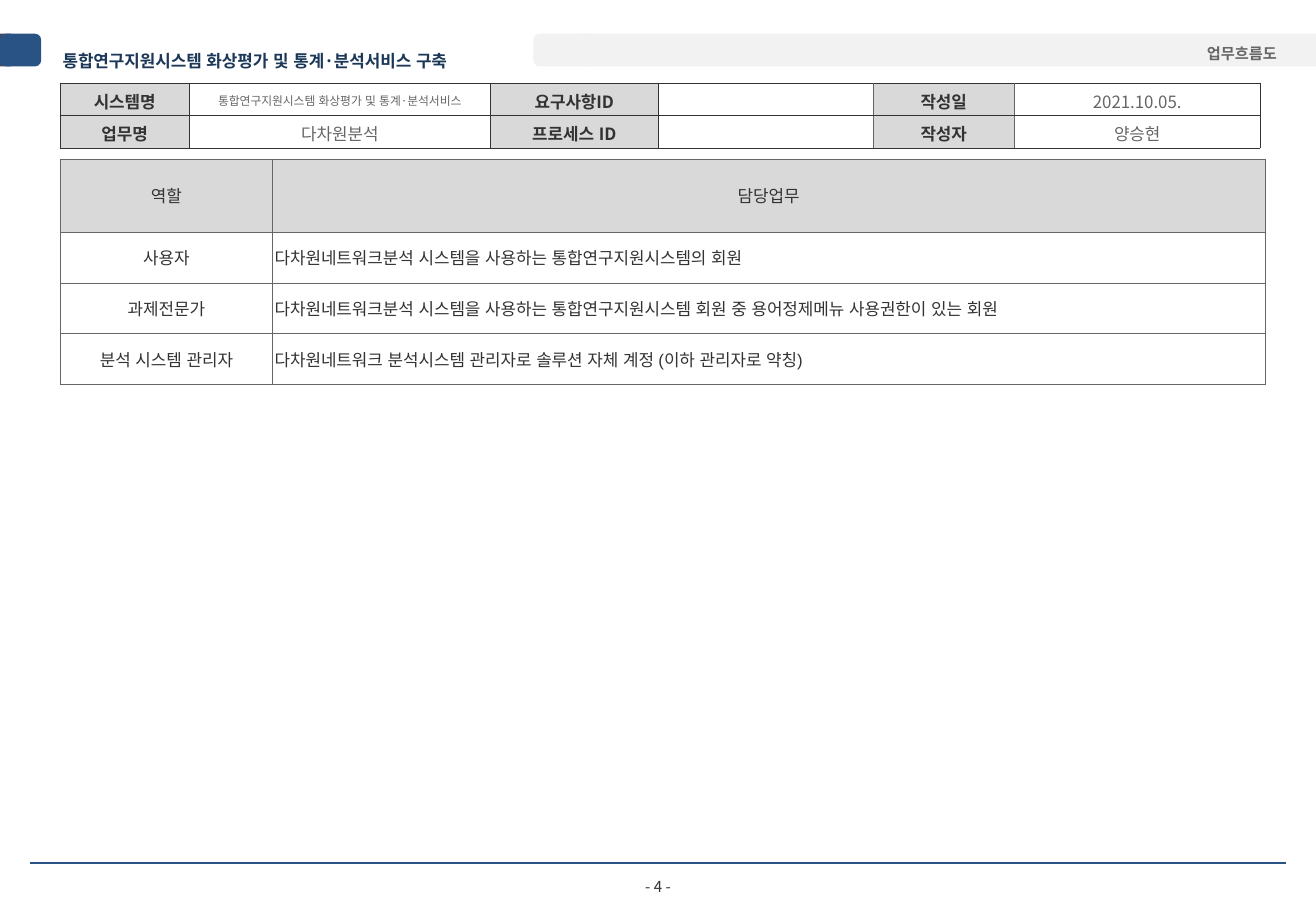
import pptx
import pptx.dml.color
import pptx.enum.lang
import pptx.enum.shapes
import pptx.enum.text
import pptx.oxml.ns
import pptx.util
from lxml import etree

Pt = pptx.util.Pt
qn = pptx.oxml.ns.qn
SHAPE = pptx.enum.shapes.MSO_SHAPE
ALIGN = pptx.enum.text.PP_ALIGN
ANCHOR = pptx.enum.text.MSO_ANCHOR
KOREAN = pptx.enum.lang.MSO_LANGUAGE_ID.KOREAN

FONT = "Noto Sans CJK KR"
COLORS = {
    "navy": "2A5385", "slate": "454861", "title": "1C3858", "band": "F2F2F2",
    "label": "D9D9D9", "dark": "333333", "gray": "666666",
}
INFO_ROWS = [
    ["시스템명", "통합연구지원시스템 화상평가 및 통계·분석서비스", "요구사항ID", "", "작성일", "2021.10.05."],
    ["업무명", "다차원분석", "프로세스 ID", "", "작성자", "양승현"],
]
ROLE_ROWS = [
    ["역할", "담당업무"],
    ["사용자", "다차원네트워크분석 시스템을 사용하는 통합연구지원시스템의 회원"],
    ["과제전문가", "다차원네트워크분석 시스템을 사용하는 통합연구지원시스템 회원 중 용어정제메뉴 사용권한이 있는 회원"],
    ["분석 시스템 관리자", "다차원네트워크 분석시스템 관리자로 솔루션 자체 계정 (이하 관리자로 약칭)"],
]


def rgb(color):
    return pptx.dml.color.RGBColor.from_string(COLORS[color])


def write(frame, text, size=10, color="dark", bold=False, align=ALIGN.CENTER, latin=FONT):
    frame.text = text
    paragraph = frame.paragraphs[0]
    paragraph.alignment = align
    for run in paragraph.runs:
        font = run.font
        font.size, font.bold, font.name = Pt(size), bold, latin
        font.color.rgb = rgb(color)
        font.language_id = KOREAN
        etree.SubElement(run._r.get_or_add_rPr(), qn("a:ea"), typeface=FONT)
    if not text:
        etree.SubElement(paragraph._p, qn("a:endParaRPr"), sz=str(size * 100))
    return paragraph


def set_borders(cell, colors):
    """Set the left, right, top and bottom edges; None leaves an edge unlined."""
    properties = cell._tc.get_or_add_tcPr()
    for position, (tag, color) in enumerate(zip(("lnL", "lnR", "lnT", "lnB"), colors)):
        edge = etree.Element(qn("a:" + tag), w=str(Pt(0.25)))
        if color:
            fill = etree.SubElement(edge, qn("a:solidFill"))
            etree.SubElement(fill, qn("a:srgbClr"), val=COLORS[color])
        else:
            etree.SubElement(edge, qn("a:noFill"))
        properties.insert(position, edge)


def style_cell(cell, margins, borders, fill=None, anchor=ANCHOR.MIDDLE):
    """Apply margins (side, top, bottom), borders, fill and anchor."""
    side, top, bottom = margins
    cell.margin_left = cell.margin_right = Pt(side)
    cell.margin_top, cell.margin_bottom = Pt(top), Pt(bottom)
    cell.vertical_anchor = anchor
    if fill:
        cell.fill.solid()
        cell.fill.fore_color.rgb = rgb(fill)
    else:
        cell.fill.background()
    set_borders(cell, borders)


def add_grid(slide, left, top, widths, heights):
    grid = slide.shapes.add_table(len(heights), len(widths), Pt(left), Pt(top),
                                  Pt(sum(widths)), Pt(sum(heights))).table
    grid.first_row = grid.horz_banding = False
    for column, width in zip(grid.columns, widths):
        column.width = Pt(width)
    for row, height in zip(grid.rows, heights):
        row.height = Pt(height)
    return grid


def add_band(slide, kind, left, top, width, height, color):
    band = slide.shapes.add_shape(kind, Pt(left), Pt(top), Pt(width), Pt(height))
    band.shadow.inherit = False
    band.fill.solid()
    band.fill.fore_color.rgb = rgb(color)
    band.line.fill.background()
    if kind == SHAPE.ROUNDED_RECTANGLE:
        band.adjustments[0] = 0.19


def add_header(slide, left, top, width, height):
    add_band(slide, SHAPE.RECTANGLE, left, top, 6.5, height, "slate")
    add_band(slide, SHAPE.ROUNDED_RECTANGLE, left, top, 24.4, height, "navy")
    add_band(slide, SHAPE.RECTANGLE, left + 345, top, width - 345, height, "band")
    add_band(slide, SHAPE.ROUNDED_RECTANGLE, left + 316.2, top, 35, height, "band")

    headings = add_grid(slide, left + 32, top, [364.9] * 2, [height])
    project, document = headings.cell(0, 0), headings.cell(0, 1)
    for cell, inset in ((project, 0), (document, 1.4)):
        style_cell(cell, (5.1, inset, inset), [None] * 4)
    title = write(project.text_frame, "통합연구지원시스템 화상평가 및 통계·분석서비스 구축",
                  color="title", bold=True, align=ALIGN.LEFT)
    title.line_spacing = 1.6
    write(document.text_frame, "업무흐름도", size=9, color="gray", bold=True, align=ALIGN.RIGHT)


def add_info(slide, left, top):
    info = add_grid(slide, left, top, [76.6, 178.4, 99.6, 127.4, 83.6, 145.8], [19, 19.5])
    for r, texts in enumerate(INFO_ROWS):
        for c, text in enumerate(texts):
            is_label = c % 2 == 0
            is_system_name = (r, c) == (0, 1)
            borders = ["gray" if c in (4, 5) else "dark", "gray" if c in (3, 4) else "dark",
                       "dark", "dark"]
            cell = info.cell(r, c)
            style_cell(cell, (7.2, 3.6, 2.4 if is_system_name else 0), borders,
                       "label" if is_label else None,
                       ANCHOR.MIDDLE if is_system_name else ANCHOR.TOP)
            write(cell.text_frame, text, size=7 if is_system_name else 10,
                  color="dark" if is_label else "gray", bold=is_label)


def add_roles(slide, left, top):
    roles = add_grid(slide, left, top, [125.6, 588.4], [43] + [30.2] * 3)
    for r, texts in enumerate(ROLE_ROWS):
        for c, text in enumerate(texts):
            is_duty = r > 0 and c == 1
            cell = roles.cell(r, c)
            style_cell(cell, (1.4, 0, 0), ["gray"] * 4, None if r else "label")
            write(cell.text_frame, text, align=ALIGN.LEFT if is_duty else ALIGN.CENTER,
                  latin="Arial" if is_duty else FONT)


def add_footer(slide, left, top, width):
    rule = slide.shapes.add_connector(pptx.enum.shapes.MSO_CONNECTOR.STRAIGHT,
                                      Pt(left), Pt(top), Pt(left + width), Pt(top))
    rule.line.color.rgb = rgb("navy")
    rule.line.width = Pt(1.5)
    etree.SubElement(rule._element.spPr, qn("a:effectLst"))

    page_width = 48
    page = slide.shapes.add_textbox(Pt(left + (width - page_width) / 2), Pt(top + 5.5),
                                    Pt(page_width), Pt(17)).text_frame
    page.word_wrap = True
    page.margin_top = page.margin_bottom = 0
    page.vertical_anchor = ANCHOR.MIDDLE
    write(page, "- 4 -", size=9)


def main():
    deck = pptx.Presentation()
    deck.slide_width, deck.slide_height = Pt(780), Pt(540)
    slide = deck.slides.add_slide(deck.slide_layouts[6])
    add_header(slide, 0, 20, 780, 19.4)
    add_roles(slide, 35.8, 94.4)
    add_info(slide, 35.6, 49.2)
    add_footer(slide, 18, 511.6, 744)
    deck.save("out.pptx")


if __name__ == "__main__":
    main()
